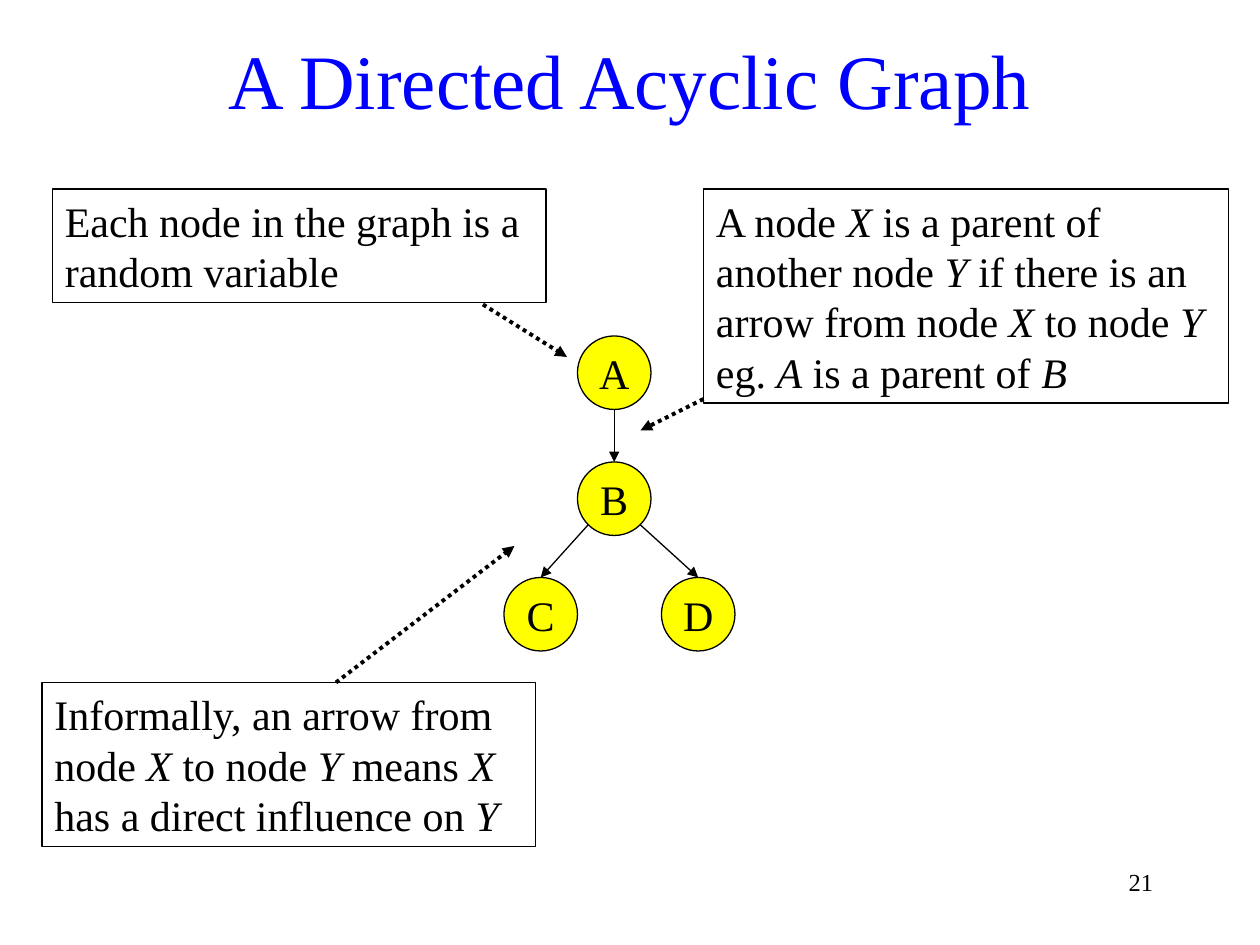
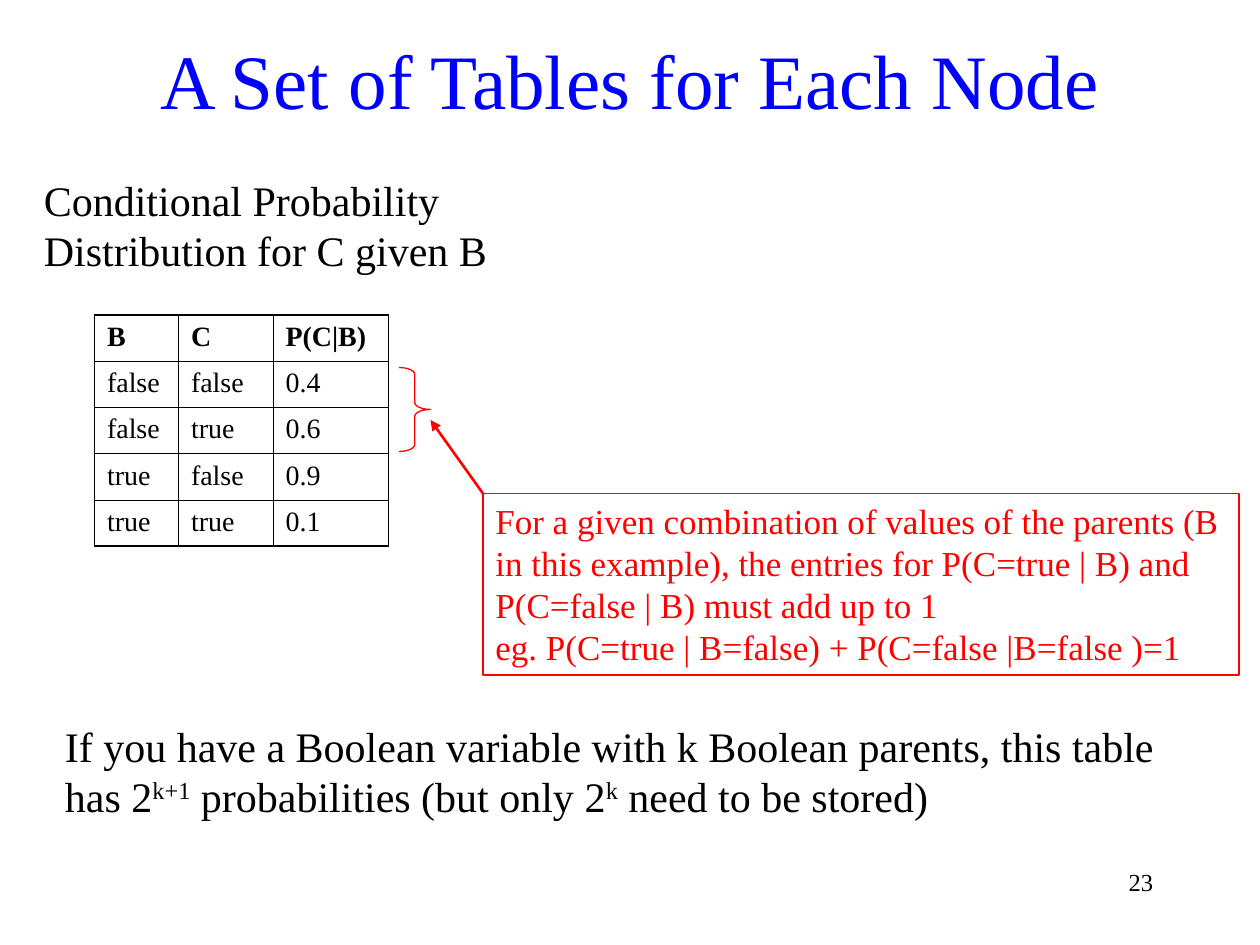
from lxml import etree
from pptx import Presentation
from pptx.dml.color import RGBColor
from pptx.enum.dml import MSO_LINE
from pptx.enum.shapes import MSO_CONNECTOR, MSO_SHAPE
from pptx.enum.text import MSO_ANCHOR, MSO_AUTO_SIZE, PP_ALIGN
from pptx.oxml.ns import qn
from pptx.util import Inches, Pt

LEFT, CENTER, RIGHT = PP_ALIGN.LEFT, PP_ALIGN.CENTER, PP_ALIGN.RIGHT
TOP, MIDDLE = MSO_ANCHOR.TOP, MSO_ANCHOR.MIDDLE
DOTTED = MSO_LINE.ROUND_DOT
GROW = MSO_AUTO_SIZE.SHAPE_TO_FIT_TEXT

BLACK = RGBColor(0x00, 0x00, 0x00)
BLUE = RGBColor(0x00, 0x00, 0xFF)
YELLOW = RGBColor(0xFF, 0xFF, 0x00)
RED = RGBColor(0xFF, 0x00, 0x00)
FONT = "Times New Roman"

# The slide is a grid of 120 columns by 90 rows; boxes are left, top, width, height.
COLS, ROWS = 120, 90
UNIT = Inches(10) // COLS
TITLE_BOX = (9, 2, 102, 11)
NUMBER_BOX = (98, 82, 13, 6)
NODE = 7
DIAGONAL = 0.71
THIN, THICK = 0.45, 1.08


def grid(*lengths):
    return [int(n * UNIT) for n in lengths]


def write(tf, text, size=24, color=BLACK, align=LEFT, anchor=TOP, before=0,
          bold=False, marked="i", wrap=True, grow=False):
    """Fill a text frame; pieces between asterisks get the format named by marked."""
    tf.word_wrap = wrap
    tf.vertical_anchor = anchor
    if grow:
        tf.auto_size = GROW
    for i, line in enumerate(text.split("\n")):
        p = tf.add_paragraph() if i else tf.paragraphs[0]
        p.alignment = align
        p.space_before = Pt(before)
        for j, piece in enumerate(line.split("*")):
            if not piece:
                continue
            r = p.add_run()
            r.text = piece
            r.font.name, r.font.size, r.font.bold = FONT, Pt(size), bold
            r.font.color.rgb = color
            if j % 2 and marked == "i":
                r.font.italic = True
            elif j % 2:
                r.font._element.set("baseline", "30000")


def add_label(slide, box, text, **fmt):
    sp = slide.shapes.add_textbox(*grid(*box))
    write(sp.text_frame, text, **fmt)


def add_outline(slide, kind, box, line=BLACK, fill=None):
    sp = slide.shapes.add_shape(kind, *grid(*box))
    sp.shadow.inherit = False
    if fill is None:
        sp.fill.background()
    else:
        sp.fill.solid()
        sp.fill.fore_color.rgb = fill
    sp.line.color.rgb = line
    sp.line.width = Pt(0.75)
    return sp


def add_callout(slide, box, text, color=BLACK, **fmt):
    sp = add_outline(slide, MSO_SHAPE.RECTANGLE, box, color)
    write(sp.text_frame, text, color=color, grow=True, **fmt)


def add_arrow(slide, start, end, color=BLACK, width=0.75, dash=None):
    cxn = slide.shapes.add_connector(MSO_CONNECTOR.STRAIGHT, *grid(*start, *end))
    cxn.line.color.rgb = color
    cxn.line.width = Pt(width)
    if dash:
        cxn.line.dash_style = dash
    etree.SubElement(cxn.line._get_or_add_ln(), qn("a:tailEnd"), type="triangle")
    etree.SubElement(cxn._element.spPr, qn("a:effectLst"))
    return cxn


def add_slide(prs, title, number):
    slide = prs.slides.add_slide(prs.slide_layouts[6])
    add_label(slide, TITLE_BOX, title, size=44, color=BLUE, align=CENTER, anchor=MIDDLE)
    add_label(slide, NUMBER_BOX, str(number), size=14, align=RIGHT)
    return slide


def draw_graph(slide, left, top):
    places = {"A": (7, 0), "B": (7, 12), "C": (0, 23), "D": (15, 23)}
    nodes = {}
    for name, (x, y) in places.items():
        sp = add_outline(slide, MSO_SHAPE.OVAL, (left + x, top + y, NODE, NODE), fill=YELLOW)
        write(sp.text_frame, name, align=CENTER, anchor=MIDDLE, wrap=False)
        nodes[name] = sp
    radius = NODE / 2
    for parent, child in ("AB", "BC", "BD"):
        (px, py), (cx, cy) = places[parent], places[child]
        side = (cx > px) - (cx < px)
        drop = DIAGONAL if side else 1
        start = (left + px + radius * (1 + side * DIAGONAL), top + py + radius * (1 + drop))
        edge = add_arrow(slide, start, (left + cx + radius, top + cy))
        edge.end_connect(nodes[child], 0)


def set_borders(cell, widths):
    tc_pr = cell._tc.get_or_add_tcPr()
    for i, (side, width) in enumerate(widths.items()):
        ln = etree.Element(qn("a:ln" + side), w=str(Pt(width)))
        fill = etree.SubElement(ln, qn("a:solidFill"))
        etree.SubElement(fill, qn("a:srgbClr"), val=str(BLACK))
        tc_pr.insert(i, ln)


def draw_probabilities(slide, left, top):
    """Table of P(C|B) with a brace beside its first two entries."""
    rows = [("B", "C", "P(C|B)"),
            ("false", "false", "0.4"),
            ("false", "true", "0.6"),
            ("true", "false", "0.9"),
            ("true", "true", "0.1")]
    widths, row_height = (8, 9, 11), 4.4
    last_row, last_col = len(rows) - 1, len(widths) - 1
    table = slide.shapes.add_table(len(rows), len(widths), *grid(
        left, top, sum(widths), row_height * len(rows))).table
    table.first_row = table.horz_banding = False
    for column, width in zip(table.columns, grid(*widths)):
        column.width = width
    for i, row in enumerate(rows):
        table.rows[i].height = grid(row_height)[0]
        for j, text in enumerate(row):
            cell = table.cell(i, j)
            cell.fill.background()
            write(cell.text_frame, text, size=16, before=4, bold=i == 0)
            outer = {"L": j == 0, "R": j == last_col, "T": i == 0, "B": i == last_row}
            set_borders(cell, {side: THICK if out else THIN for side, out in outer.items()})
    brace = add_outline(slide, MSO_SHAPE.RIGHT_BRACE,
                        (left + sum(widths) + 1, top + 5, 3, 8), RED)
    brace.adjustments[0] = 0.22


def graph_slide(prs):
    slide = add_slide(prs, "A Directed Acyclic Graph", 21)
    draw_graph(slide, 48, 32)
    callouts = [
        ((5, 18, 47, 10.8), 15, "Each node in the graph is a random variable",
         (46, 29), (54, 34)),
        ((67, 18, 50, 20.4), 15,
         "A node *X* is a parent of another node *Y* if there is an arrow "
         "from node *X* to node *Y* eg. *A* is a parent of *B*",
         (67, 38), (61, 41)),
        ((4, 65, 47, 15.6), 6,
         "Informally, an arrow from node *X* to node *Y* means *X* "
         "has a direct influence on *Y*",
         (32, 65), (49, 52)),
    ]
    for box, before, text, start, end in callouts:
        add_callout(slide, box, text, before=before)
        add_arrow(slide, start, end, width=2.25, dash=DOTTED)


def tables_slide(prs):
    slide = add_slide(prs, "A Set of Tables for Each Node", 23)
    add_label(slide, (3, 16, 49, 10.8), "Conditional Probability Distribution for C given B",
              before=15, grow=True)
    draw_probabilities(slide, 9, 30)
    add_callout(slide, (46, 47, 72, 17.3),
                "For a given combination of values of the parents (B in this example), "
                "the entries for P(C=true | B) and P(C=false | B) must add up to 1\n"
                "eg. P(C=true | B=false) + P(C=false |B=false )=1", RED, size=20)
    add_arrow(slide, (46, 47), (41, 40), RED, 1.5)
    add_label(slide, (5, 68, 111, 10.8),
              "If you have a Boolean variable with k Boolean parents, this table has "
              "2*k+1* probabilities (but only 2*k* need to be stored)",
              before=15, marked="sup", grow=True)


def main():
    prs = Presentation()
    prs.slide_width, prs.slide_height = grid(COLS, ROWS)
    graph_slide(prs)
    tables_slide(prs)
    prs.save("out.pptx")


if __name__ == "__main__":
    main()
